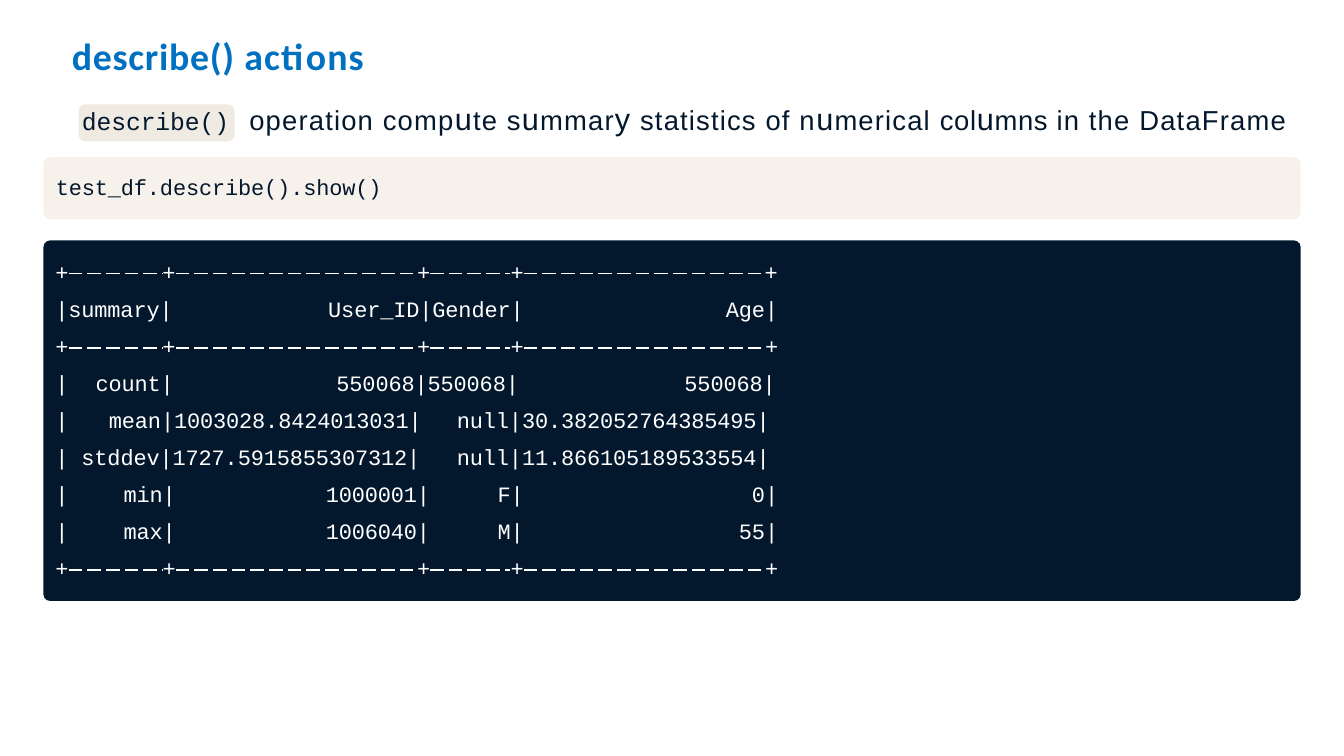
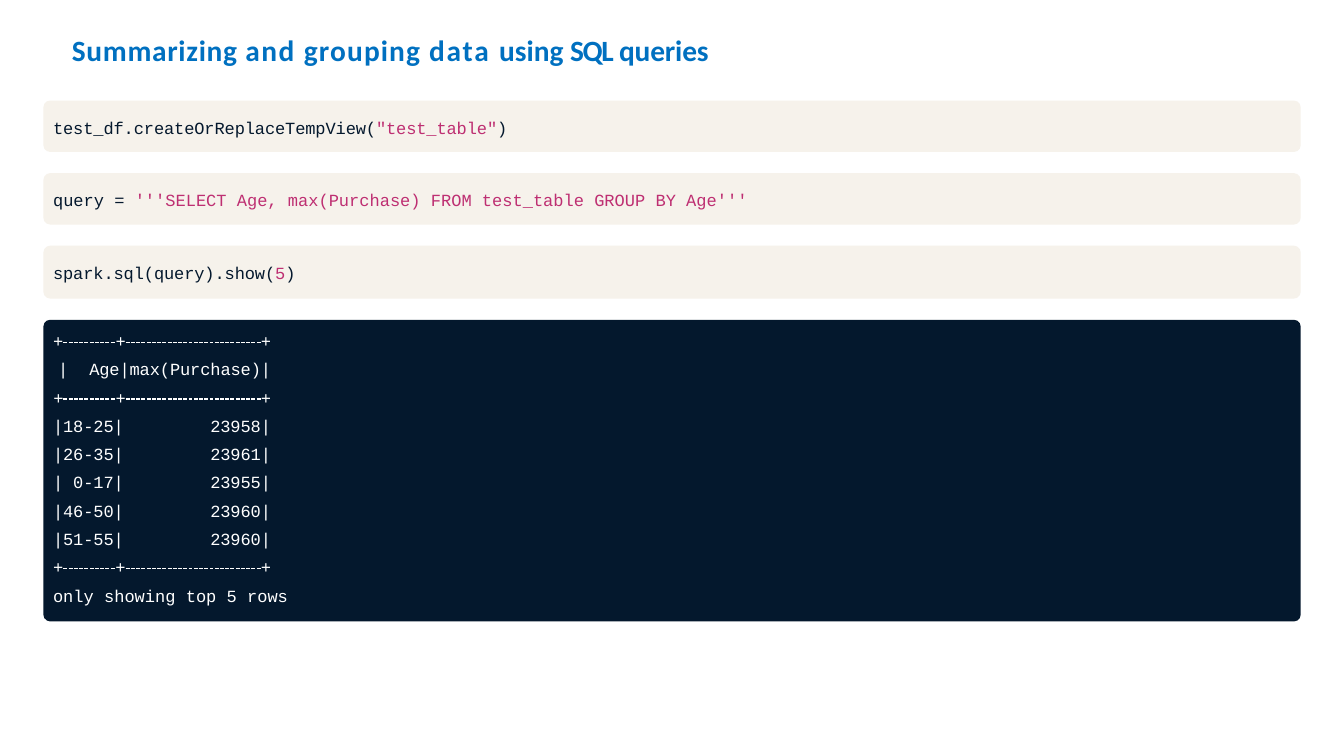
from dataclasses import dataclass
from itertools import groupby
from typing import NamedTuple

from lxml import etree
from pptx import Presentation
from pptx.dml.color import RGBColor
from pptx.enum.dml import MSO_LINE
from pptx.enum.shapes import MSO_CONNECTOR, MSO_SHAPE
from pptx.enum.text import PP_ALIGN
from pptx.oxml.ns import qn
from pptx.slide import Slide
from pptx.util import Inches, Pt

BLUE = RGBColor(0x00, 0x70, 0xC0)
NAVY = RGBColor(0x04, 0x18, 0x2D)
CREAM = RGBColor(0xF6, 0xF2, 0xEB)
SAND = RGBColor(0xEF, 0xEB, 0xE3)
PINK = RGBColor(0xBE, 0x2F, 0x72)
WHITE = RGBColor(0xFF, 0xFF, 0xFF)
CHALK = RGBColor(0xFE, 0xFE, 0xFE)

LEFT, RIGHT = PP_ALIGN.LEFT, PP_ALIGN.RIGHT
LONG, SHORT = MSO_LINE.LONG_DASH, MSO_LINE.SQUARE_DOT
ROUND, STRAIGHT = MSO_SHAPE.ROUNDED_RECTANGLE, MSO_CONNECTOR.STRAIGHT

# The slide is a grid of 100 columns by 100 rows.
WIDTH, HEIGHT = 17.78, 10
COL, ROW = WIDTH / 100, HEIGHT / 100

SANS, HEAD, MONO = "Arial", "Calibri", "Courier New"
EDGE, SPAN = 3.23, 93.55
CURVE = 0.09    # corner radius of a panel, inches
STEP = 0.61     # width of one table character, em
DROP = 0.5      # from a rule down to the foot of its text line, em


class Run(NamedTuple):
    text: str
    size: float
    color: RGBColor = NAVY
    font: str = MONO
    gap: float = -0.1
    bold: bool = False


class Box(NamedTuple):
    left: float
    top: float
    wide: float
    high: float


class Block(NamedTuple):
    """Table text from one character to another; tabs count characters."""
    start: int
    end: int
    row: int
    lines: list[str]
    align: PP_ALIGN = LEFT
    tabs: tuple[tuple[int, ...], ...] = ()


@dataclass
class Grid:
    """A console table; ends are the last characters of its columns."""
    left: float
    top: float
    pitch: float
    size: float
    ends: tuple[int, ...]
    rules: tuple[int, ...]
    dash: MSO_LINE
    weight: float
    blocks: list[Block]


def place(box: Box) -> tuple[int, int, int, int]:
    return (Inches(box.left * COL), Inches(box.top * ROW),
            Inches(box.wide * COL), Inches(box.high * ROW))


def write(slide: Slide, box: Box, lines: list[list[Run]],
          align: PP_ALIGN = LEFT, pitch: float | None = None,
          tabs: list[list[float]] | None = None) -> None:
    """Add a text box, one paragraph a line; pitch in rows, tabs in columns."""
    frame = slide.shapes.add_textbox(*place(box)).text_frame
    frame.word_wrap = True
    frame.margin_left = frame.margin_right = 0
    frame.margin_top = frame.margin_bottom = 0
    for i, line in enumerate(lines):
        para = frame.add_paragraph() if i else frame.paragraphs[0]
        para.alignment = align
        if pitch:
            para.line_spacing = Pt(pitch * ROW * 72)
        if tabs and i < len(tabs) and tabs[i]:
            stops = etree.SubElement(para._p.get_or_add_pPr(), qn("a:tabLst"))
            for tab in tabs[i]:
                etree.SubElement(stops, qn("a:tab"),
                                 pos=str(Inches(tab * COL)), algn="l")
        for part in line:
            run = para.add_run()
            run.text = part.text
            font = run.font
            font.name, font.size, font.bold = part.font, Pt(part.size), part.bold
            font.color.rgb = part.color
            run._r.get_or_add_rPr().set("spc", str(round(part.gap * 100)))


def panel(slide: Slide, box: Box, fill: RGBColor) -> None:
    shape = slide.shapes.add_shape(ROUND, *place(box))
    shape.adjustments[0] = CURVE / min(box.wide * COL, box.high * ROW)
    shape.shadow.inherit = False
    shape.fill.solid()
    shape.fill.fore_color.rgb = fill
    shape.line.fill.background()


def title(slide: Slide, size: float, parts: list[tuple[str, float]]) -> None:
    runs = [Run(text, size, BLUE, HEAD, gap, True) for text, gap in parts]
    write(slide, Box(5.35, 4.3, 93.9, 6), [runs])


def code(slide: Slide, top: float, high: float, left: float,
         runs: list[Run]) -> None:
    """Add a pale band with one line of code."""
    panel(slide, Box(EDGE, top, SPAN, high), CREAM)
    write(slide, Box(left, top + 2.2, 85, 3.7), [runs])


def rule(slide: Slide, start: float, end: float, top: float,
         grid: Grid) -> None:
    y = Inches(top * ROW)
    line = slide.shapes.add_connector(
        STRAIGHT, Inches(start * COL), y, Inches(end * COL), y)
    line.line.color.rgb = CHALK
    line.line.width = Pt(grid.weight)
    line.line.dash_style = grid.dash
    etree.SubElement(line._element.spPr, qn("a:effectLst"))


def table(slide: Slide, grid: Grid) -> None:
    """Add the dashed rules of a table, then its blocks of text."""
    em = grid.size / 72
    step = em * STEP / COL
    for row in grid.rules:
        for last, end in zip((1, *grid.ends), grid.ends):
            rule(slide, grid.left + last * step, grid.left + (end - 1) * step,
                 grid.top + row * grid.pitch, grid)
    top = grid.top + em * DROP / ROW - grid.pitch
    for block in grid.blocks:
        box = Box(grid.left + block.start * step, top + block.row * grid.pitch,
                  (block.end - block.start) * step,
                  len(block.lines) * grid.pitch)
        write(slide, box,
              [[Run(text, grid.size, WHITE)] for text in block.lines],
              block.align, grid.pitch,
              [[tab * step for tab in line] for line in block.tabs])


def describe(slide: Slide) -> None:
    title(slide, 36, [("describe() ", 0.7), ("actions", 1.1)])
    panel(slide, Box(5.85, 13.8, 11.6, 4.9), SAND)
    write(slide, Box(6.1, 14, 11.3, 4), [[Run("describe()", 23.5)]])
    note = [("operation compute summary statistics of numerical ", 1.1),
            ("columns ", 0.6), ("in the DataFrame", 1.1)]
    runs = [Run("".join(group), 29.2 if large else 26.1, NAVY, SANS, gap)
            for text, gap in note
            for large, group in groupby(text, lambda c: c in "uy")]
    write(slide, Box(18.55, 13.2, 81, 5), [runs])

    code(slide, 20.8, 8.2, 4.15, [Run("test_df.describe().show()", 20.9)])
    panel(slide, Box(EDGE, 31.8, SPAN, 47.7), NAVY)
    table(slide, Grid(
        4.12, 36.2, 4.9, 20.9, (9, 28, 35, 54), (0, 2, 8), LONG, 1.62, [
            Block(0, 9, 0, ["+\t+", "|summary|", "+\t+"], LEFT,
                  ((8,), (), (8,))),
            Block(20, 35, 0, ["+\t+", "User_ID|Gender|", "+\t+"], RIGHT,
                  ((7,), (), (7,))),
            Block(53, 54, 0, ["+"]),
            Block(50, 54, 1, ["Age|", "+"], RIGHT),
            Block(21, 54, 3, ["550068|550068|\t550068|"], LEFT, ((26,),)),
            Block(0, 9, 3, ["|\tcount|", "|"], LEFT, ((3,),)),
            Block(4, 28, 4, ["mean|1003028.8424013031|"]),
            Block(0, 28, 5, ["| stddev|1727.5915855307312|"]),
            Block(30, 54, 4, ["null|30.382052764385495|",
                              "null|11.866105189533554|"]),
            Block(0, 1, 6, ["|", "|", "+"]),
            Block(5, 9, 6, ["min|", "max|", "+"], RIGHT),
            Block(20, 28, 6, ["1000001|", "1006040|", "+"], RIGHT),
            Block(33, 35, 6, ["F|", "M|", "+"], RIGHT),
            Block(51, 54, 6, ["0|", "55|", "+"], RIGHT),
        ]))


def query(slide: Slide) -> None:
    size = 16.2
    title(slide, 28, [("Summarizing ", 0.7), ("and ", 1.4), ("grouping ", 1.1),
                      ("data ", 1.7), ("using ", 0), ("SQL ", -1.3),
                      ("queries", -0.1)])
    sql = "'''SELECT Age, max(Purchase) FROM test_table GROUP BY Age'''"
    codes = [
        (6.8, -0.1, [("test_df.createOrReplaceTempView(", NAVY),
                     ('"test_table"', PINK), (")", NAVY)]),
        (6.8, 0, [("query = ", NAVY), (sql, PINK)]),
        (7, -0.1, [("spark.sql(query).show(", NAVY), ("5", PINK),
                   (")", NAVY)]),
    ]
    for i, (high, gap, parts) in enumerate(codes):
        code(slide, 13.3 + i * 9.6, high, 3.95,
             [Run(text, size, color, gap=gap) for text, color in parts])

    panel(slide, Box(EDGE, 42.3, SPAN, 39.9), NAVY)
    table(slide, Grid(
        3.95, 45.3, 3.74, size, (7, 21), (0, 2, 8), SHORT, 1.25, [
            Block(0, 1, 0, ["+"]),
            Block(0, 21, 0, ["+\t+", "|\tAge|max(Purchase)|", "+\t+\t+"],
                  RIGHT, ((14,), (3,), (6, 20))),
            Block(0, 7, 3, ["|18-25|", "|26-35|", "| 0-17|", "|46-50|",
                            "|51-55|"]),
            Block(0, 7, 8, ["+\t+"], LEFT, ((6,),)),
            Block(15, 21, 3, ["23958|", "23961|", "23955|", "23960|",
                              "23960|", "+"], RIGHT),
        ]))
    write(slide, Box(3.95, 77.4, 20, 3),
          [[Run("only showing top 5 rows", size, WHITE, gap=0)]])


def main() -> None:
    deck = Presentation()
    deck.slide_width, deck.slide_height = Inches(WIDTH), Inches(HEIGHT)
    blank = deck.slide_layouts[6]
    for draw in (describe, query):
        draw(deck.slides.add_slide(blank))
    deck.save("out.pptx")


if __name__ == "__main__":
    main()
